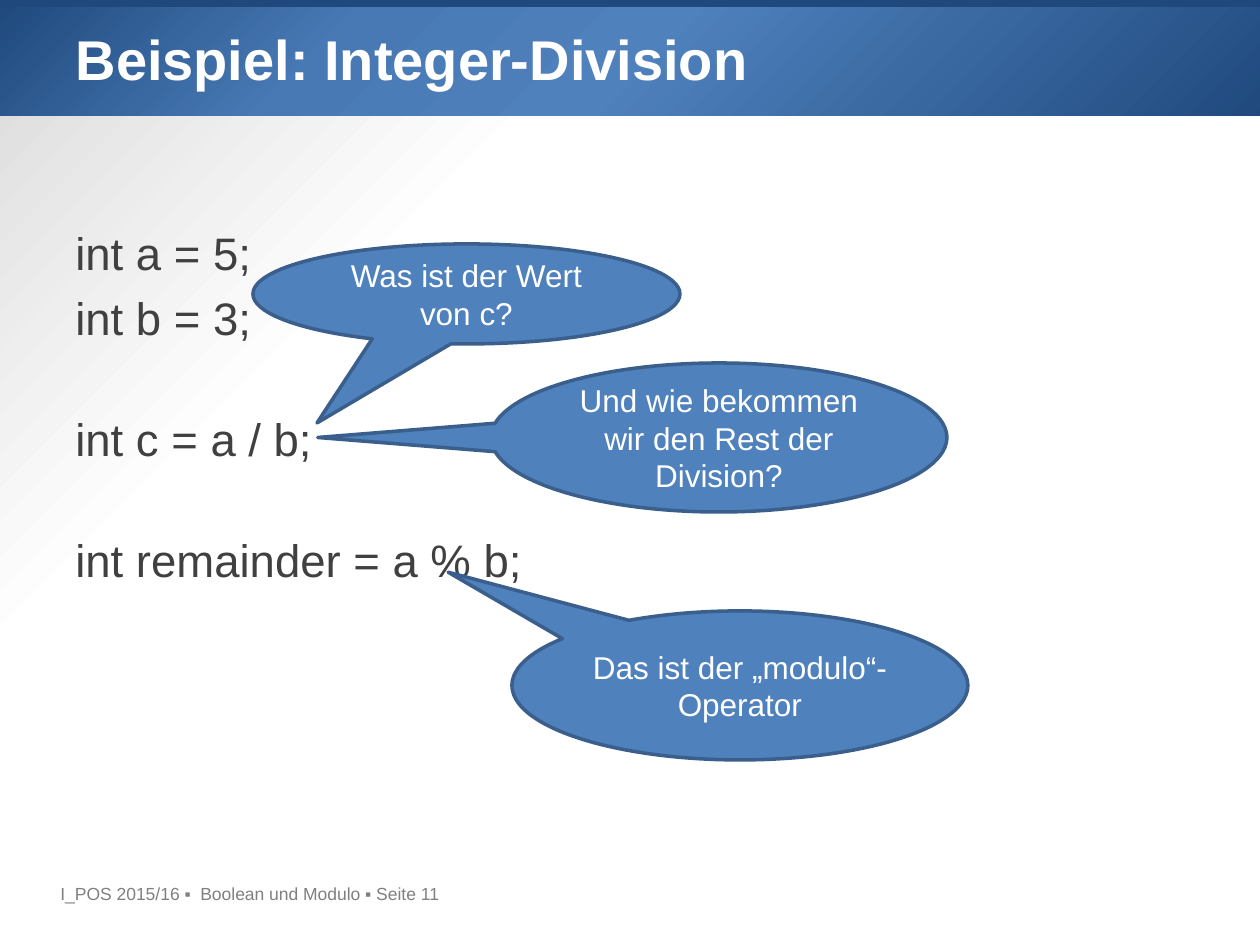
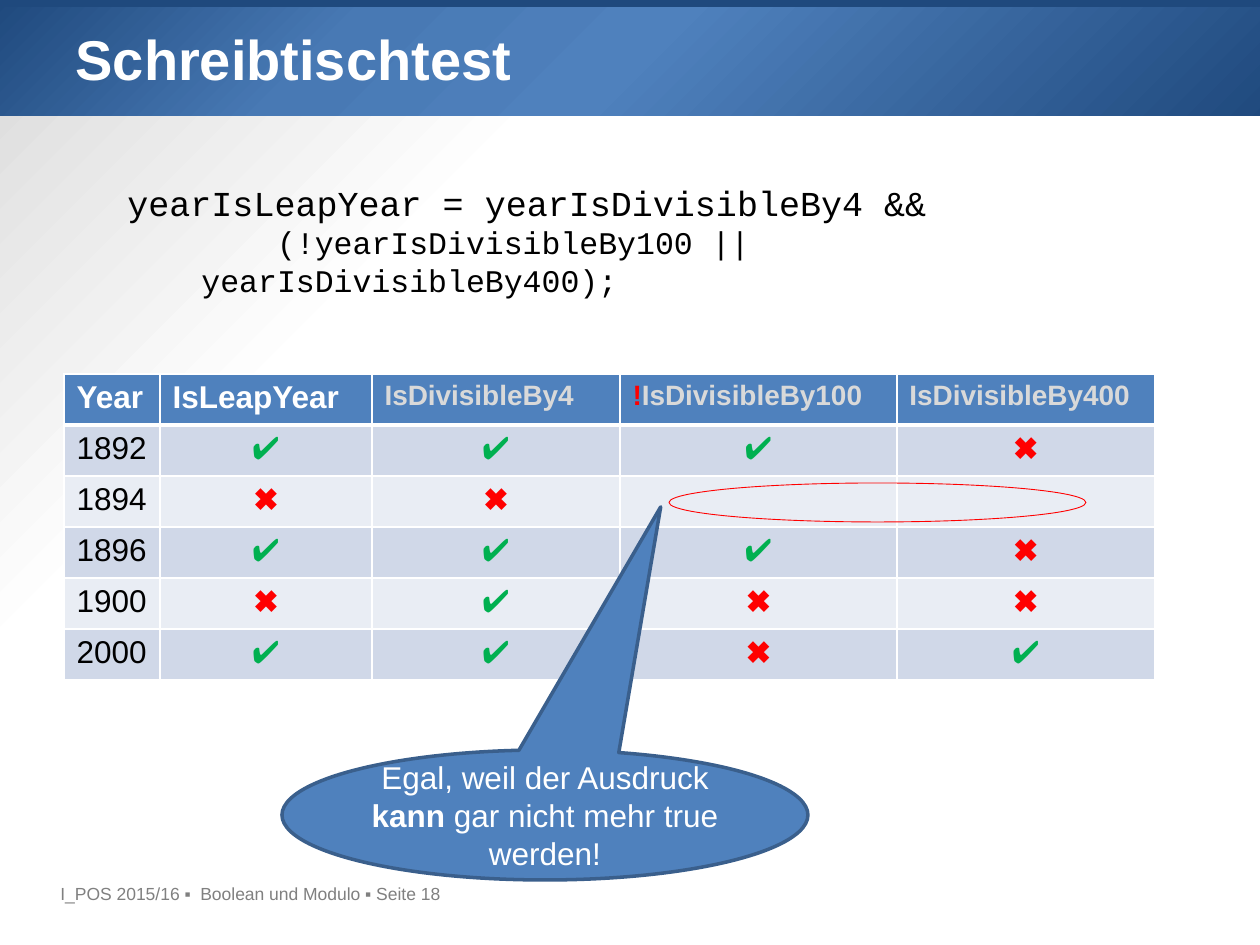
from collections import namedtuple
from dataclasses import dataclass

from pptx import Presentation
from pptx.dml.color import RGBColor
from pptx.enum.shapes import MSO_SHAPE
from pptx.enum.text import MSO_ANCHOR, MSO_AUTO_SIZE, PP_ALIGN
from pptx.oxml import parse_xml
from pptx.oxml.ns import nsdecls
from pptx.util import Emu, Pt

RECTANGLE = MSO_SHAPE.RECTANGLE
ELLIPSE = MSO_SHAPE.OVAL
CALLOUT = MSO_SHAPE.OVAL_CALLOUT
TOP = MSO_ANCHOR.TOP
MIDDLE = MSO_ANCHOR.MIDDLE
LEFT = PP_ALIGN.LEFT
CENTER = PP_ALIGN.CENTER
NO_AUTOFIT = MSO_AUTO_SIZE.NONE
TITLE_ONLY = 5
EMU_PER_PX = 914400 / 126

Box = namedtuple("Box", "left top width height")
Span = namedtuple("Span", "text size color bold font", defaults=(False, "Arial"))


@dataclass(frozen=True)
class Theme:
    white: str = "FFFFFF"
    black: str = "000000"
    navy: str = "1F497D"
    steel: str = "4879B4"
    blue: str = "4F81BD"
    outline: str = "3A5F8C"
    body: str = "404040"
    footer: str = "808080"
    silver: str = "D9D9D9"
    odd_row: str = "D0D8E8"
    even_row: str = "E9EDF4"
    red: str = "FF0000"
    green: str = "00B050"
    mono: str = "Courier New"
    title_size: int = 32
    body_size: int = 26
    code_size: int = 20
    text_size: int = 18
    header_size: int = 16
    footer_size: int = 10


THEME = Theme()
PAGE = Box(0, 0, 1260, 945)
BAND = Box(-1, -1, 1275, 117)
STRIP = Box(-1, -4, 1275, 11)
TITLE = Box(63, 18, 1134, 157)
FOOTER = Box(48, 877, 483, 33)


def px(length):
    return Emu(round(length * EMU_PER_PX))


def place(shape, box):
    shape.left, shape.top, shape.width, shape.height = map(px, box)


def rgb(color):
    return RGBColor.from_string(color)


def add_span(para, span):
    run = para.add_run()
    run.text = span.text
    run.font.name = span.font
    run.font.size = Pt(span.size)
    run.font.bold = span.bold
    run.font.color.rgb = rgb(span.color)


def add_text(page, box):
    text_box = page.shapes.add_textbox(*map(px, box))
    text_box.text_frame.word_wrap = True
    return text_box.text_frame


def add_figure(page, kind, box, fill=None, line=None, line_width=0):
    shape = page.shapes.add_shape(kind, *map(px, box))
    shape.shadow.inherit = False
    if fill:
        shape.fill.solid()
        shape.fill.fore_color.rgb = rgb(fill)
    else:
        shape.fill.background()
    if line:
        shape.line.color.rgb = rgb(line)
        shape.line.width = Pt(line_width)
    else:
        shape.line.fill.background()
    return shape


def set_radial_fill(holder, stops, focus):
    colors = "".join(
        f'<a:gs pos="{position * 1000}"><a:srgbClr val="{color}"/></a:gs>'
        for position, color in stops
    )
    edges = " ".join(f'{side}="{share * 1000}"' for side, share in zip("ltrb", focus))
    gradient = parse_xml(
        f'<a:gradFill {nsdecls("a")} rotWithShape="1"><a:gsLst>{colors}</a:gsLst>'
        f'<a:path path="circle"><a:fillToRect {edges}/></a:path></a:gradFill>'
    )
    solid = holder.element.xpath(
        "p:cSld/p:bg/p:bgPr/a:solidFill | p:spPr/a:solidFill"
    )[0]
    solid.getparent().replace(solid, gradient)


def set_background(master):
    master.background.fill.solid()
    set_radial_fill(
        master, [(70, THEME.white), (100, THEME.silver)], (100, 100, 0, 0)
    )


def add_page(deck, title_text, number):
    page = deck.slides.add_slide(deck.slide_layouts[TITLE_ONLY])
    title = page.shapes.title
    band = add_figure(page, RECTANGLE, BAND, THEME.blue)
    stops = [(0, THEME.navy), (27, THEME.steel), (50, THEME.blue), (100, THEME.navy)]
    set_radial_fill(band, stops, (0, 0, 100, 100))
    strip = add_figure(page, RECTANGLE, STRIP, THEME.navy)
    for shape in (band, strip):
        title.element.addprevious(shape.element)

    place(title, TITLE)
    frame = title.text_frame
    frame.auto_size = NO_AUTOFIT
    frame.vertical_anchor = TOP
    frame.paragraphs[0].alignment = LEFT
    add_span(frame.paragraphs[0], Span(title_text, THEME.title_size, THEME.white, True))

    footer = add_text(page, FOOTER)
    footer_text = f"I_POS 2015/16 ▪  Boolean und Modulo ▪ Seite {number}"
    add_span(footer.paragraphs[0], Span(footer_text, THEME.footer_size, THEME.footer))
    return page


def add_callout(page, box, tip, parts):
    callout = add_figure(page, CALLOUT, box, THEME.blue, THEME.outline, 2)
    for index, offset in enumerate(tip):
        callout.adjustments[index] = offset
    frame = callout.text_frame
    frame.word_wrap = True
    frame.vertical_anchor = MIDDLE
    para = frame.paragraphs[0]
    para.alignment = CENTER
    for text, bold in parts:
        add_span(para, Span(text, THEME.text_size, THEME.white, bold))


def add_statements(page, box, statements):
    frame = add_text(page, box)
    frame.margin_top = px(11)
    for index, (text, gap) in enumerate(statements):
        para = frame.add_paragraph() if index else frame.paragraphs[0]
        if gap:
            para.space_before = Pt(gap)
        add_span(para, Span(text, THEME.body_size, THEME.body))


def add_expression(page, box, first, second):
    frame = add_text(page, box)
    add_span(
        frame.paragraphs[0],
        Span(first, THEME.code_size, THEME.black, font=THEME.mono),
    )
    para = frame.add_paragraph()
    para.level = 1
    properties = para._p.get_or_add_pPr()
    properties.set("marL", str(px(74)))
    properties.set("indent", "0")
    add_span(para, Span(second, THEME.text_size, THEME.black, font=THEME.mono))


def set_borders(cell, row):
    properties = cell._tc.get_or_add_tcPr()
    widths = {"L": 1, "R": 1, "T": 3 if row == 1 else 1, "B": 3 if row == 0 else 1}
    for side, width in widths.items():
        properties.append(parse_xml(
            f'<a:ln{side} {nsdecls("a")} w="{Pt(width)}"><a:solidFill>'
            f'<a:srgbClr val="{THEME.white}"/></a:solidFill></a:ln{side}>'
        ))


def fill_cell(cell, row, spans, centered):
    set_borders(cell, row)
    cell.fill.solid()
    band = THEME.odd_row if row % 2 else THEME.even_row
    cell.fill.fore_color.rgb = rgb(band if row else THEME.blue)
    para = cell.text_frame.paragraphs[0]
    if centered:
        para.alignment = CENTER
    for span in spans:
        add_span(para, span)


def add_leap_year_table(page, box, widths, header, years):
    rows = len(years) + 1
    table = page.shapes.add_table(rows, len(widths), *map(px, box)).table
    for column, width in zip(table.columns, widths):
        column.width = px(width)
    for row in table.rows:
        row.height = px(box.height / rows)
    for column, spans in enumerate(header):
        fill_cell(table.cell(0, column), 0, spans, False)
    mark_colors = {"✔": THEME.green, "✖": THEME.red}
    for row, (year, marks) in enumerate(years.items(), 1):
        fill_cell(
            table.cell(row, 0), row, [Span(year, THEME.text_size, THEME.black)], False
        )
        for column in range(1, len(widths)):
            spans = [
                Span(mark, THEME.text_size, mark_colors[mark])
                for mark in marks[column - 1:column]
            ]
            fill_cell(table.cell(row, column), row, spans, True)


def build_division_page(deck):
    page = add_page(deck, "Beispiel: Integer-Division", 11)
    add_statements(page, Box(63, 214, 1131, 645), [
        ("int a = 5;", 0),
        ("int b = 3;", 6),
        ("int c = a / b;", 38),
        ("int remainder = a % b;", 38),
    ])
    for box, tip, text in (
        (Box(253, 244, 427, 100), (-0.35, 1.29), "Was ist der Wert von c?"),
        (Box(491, 363, 456, 149), (-0.88, 0),
         "Und wie bekommen wir den Rest der Division?"),
        (Box(512, 611, 456, 149), (-0.64, -0.76), "Das ist der „modulo“-Operator"),
    ):
        add_callout(page, box, tip, [(text, False)])


def build_desk_check_page(deck):
    page = add_page(deck, "Schreibtischtest", 18)
    header = [
        [Span("Year", THEME.text_size, THEME.white, True)],
        [Span("IsLeapYear", THEME.text_size, THEME.white, True)],
        [Span("IsDivisibleBy4", THEME.header_size, THEME.silver, True)],
        [Span("!", THEME.header_size, THEME.red, True),
         Span("IsDivisibleBy100", THEME.header_size, THEME.silver, True)],
        [Span("IsDivisibleBy400", THEME.header_size, THEME.silver, True)],
    ]
    years = {
        "1892": "✔✔✔✖",
        "1894": "✖✖",
        "1896": "✔✔✔✖",
        "1900": "✖✔✖✖",
        "2000": "✔✔✖✔",
    }
    add_leap_year_table(
        page, Box(64, 374, 1091, 306), (96, 212, 248, 277, 258), header, years
    )
    add_expression(
        page, Box(115, 175, 1078, 93),
        "yearIsLeapYear = yearIsDivisibleBy4 &&",
        "    (!yearIsDivisibleBy100 || yearIsDivisibleBy400);",
    )
    add_callout(page, Box(282, 750, 526, 130), (0.22, -2.37), [
        ("Egal, weil der Ausdruck ", False),
        ("kann", True),
        (" gar nicht mehr true werden!", False),
    ])
    add_figure(page, ELLIPSE, Box(669, 483, 417, 39), line=THEME.red, line_width=0.5)


def main():
    deck = Presentation()
    deck.slide_width, deck.slide_height = px(PAGE.width), px(PAGE.height)
    set_background(deck.slide_master)
    build_division_page(deck)
    build_desk_check_page(deck)
    deck.save("out.pptx")


if __name__ == "__main__":
    main()
